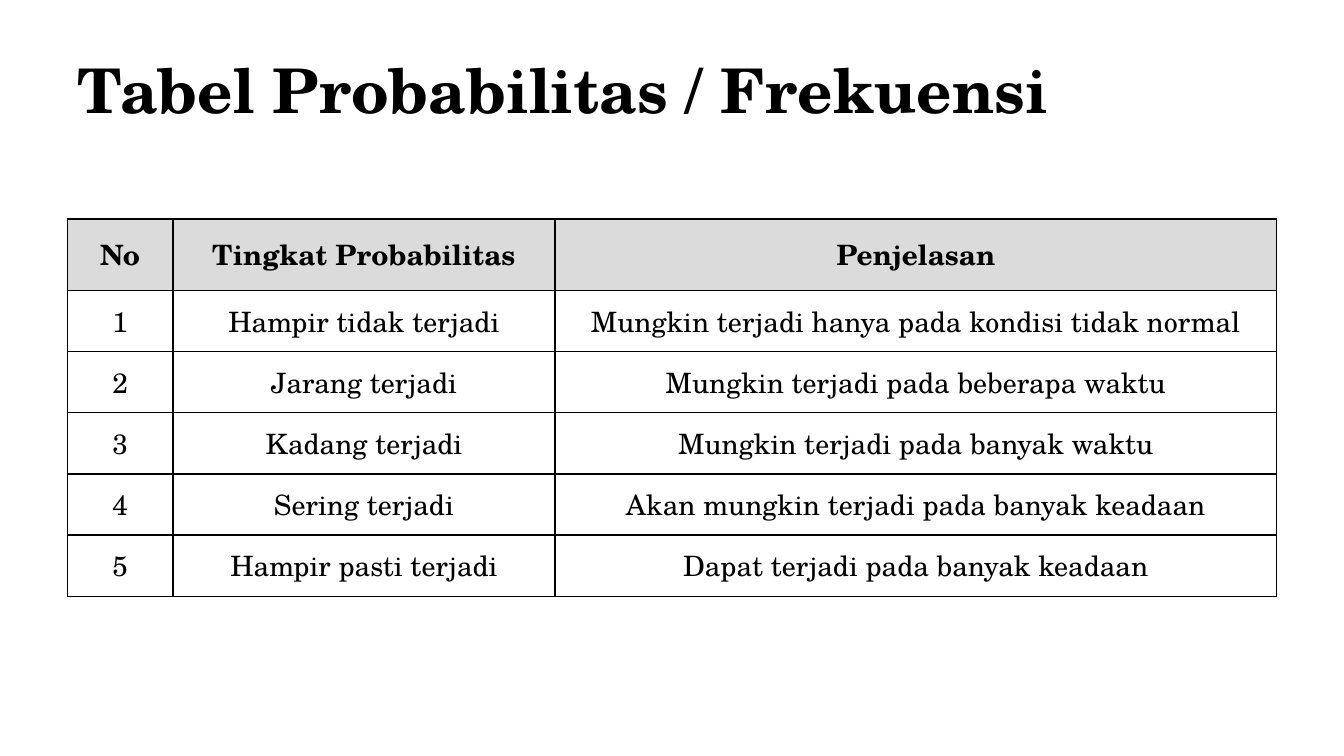
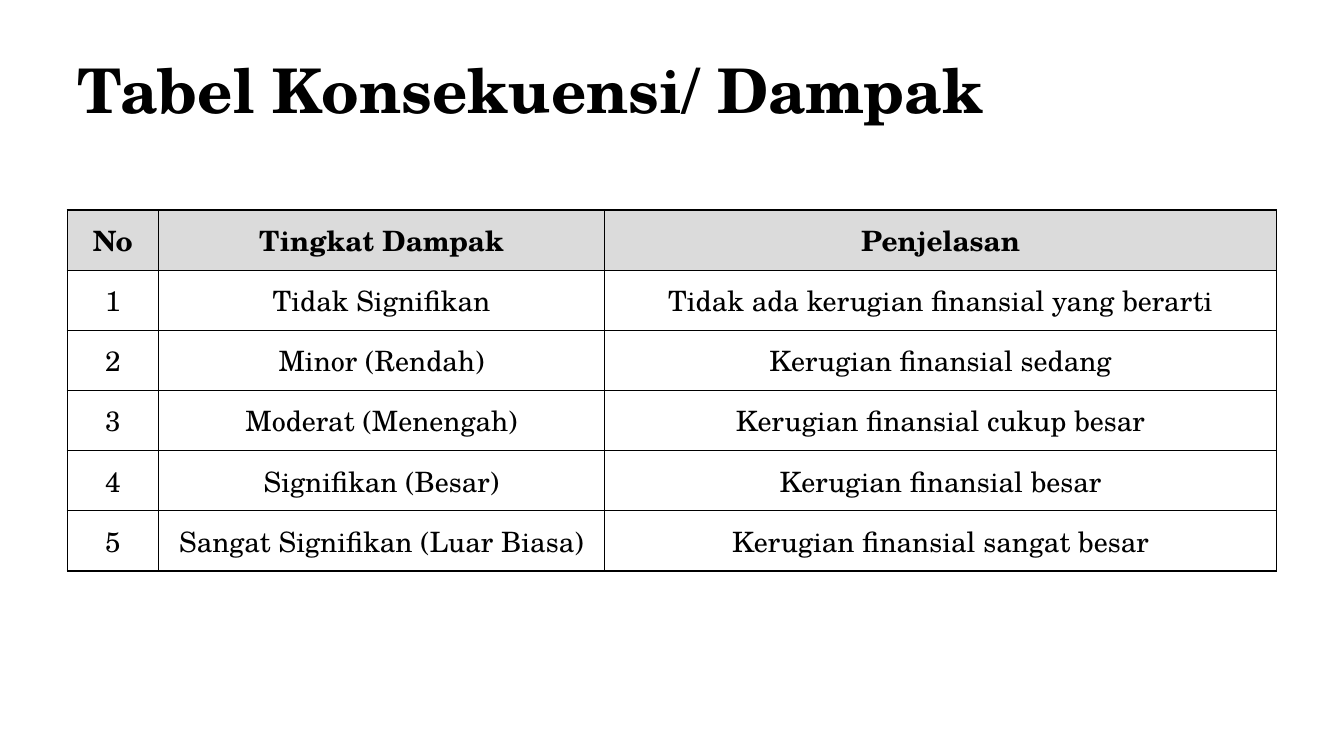
from dataclasses import dataclass

from lxml.etree import SubElement
from pptx import Presentation
from pptx.dml.color import RGBColor
from pptx.enum.text import MSO_ANCHOR, PP_ALIGN
from pptx.oxml.ns import qn
from pptx.slide import Slide
from pptx.table import _Cell
from pptx.text.text import _Paragraph
from pptx.util import Pt

FONT = "TeX Gyre Schola"
INK = "000000"
PAPER = "FFFFFF"
HEAD = "DBDBDB"
LEFT, WIDTH = 48, 864


@dataclass
class Grid:
    title: str
    top: float
    cols: tuple[float, ...]
    first: float
    row: float
    inset: float
    heads: tuple[str, ...]
    items: tuple[tuple[str, str], ...]


GRIDS = (
    Grid(
        "Tabel Probabilitas / Frekuensi", 156.4, (75.6, 272.9, 515.5), 51.1, 43.7, 7.9,
        ("No", "Tingkat Probabilitas", "Penjelasan"),
        (
            ("Hampir tidak terjadi", "Mungkin terjadi hanya pada kondisi tidak normal"),
            ("Jarang terjadi", "Mungkin terjadi pada beberapa waktu"),
            ("Kadang terjadi", "Mungkin terjadi pada banyak waktu"),
            ("Sering terjadi", "Akan mungkin terjadi pada banyak keadaan"),
            ("Hampir pasti terjadi", "Dapat terjadi pada banyak keadaan"),
        ),
    ),
    Grid(
        "Tabel Konsekuensi/ Dampak", 150, (65.3, 318.6, 480.1), 43, 43, 8.6,
        ("No", "Tingkat Dampak", "Penjelasan"),
        (
            ("Tidak Signifikan", "Tidak ada kerugian finansial yang berarti"),
            ("Minor (Rendah)", "Kerugian finansial sedang"),
            ("Moderat (Menengah)", "Kerugian finansial cukup besar"),
            ("Signifikan (Besar)", "Kerugian finansial besar"),
            ("Sangat Signifikan (Luar Biasa)", "Kerugian finansial sangat besar"),
        ),
    ),
)


def color(code: str) -> RGBColor:
    return RGBColor.from_string(code)


def style(para: _Paragraph, size: float, bold: bool) -> None:
    font = para.font
    font.name, font.size, font.bold = FONT, Pt(size), bold
    font.color.rgb = color(INK)


def border(cell: _Cell) -> None:
    props = cell._tc.get_or_add_tcPr()
    for side in ("lnL", "lnR", "lnT", "lnB"):
        line = SubElement(props, qn(f"a:{side}"), w=str(Pt(1)))
        fill = SubElement(line, qn("a:solidFill"))
        SubElement(fill, qn("a:srgbClr"), val=INK)


def fill_cell(cell: _Cell, text: str, inset: float, head: bool) -> None:
    border(cell)
    if head:
        cell.fill.solid()
        cell.fill.fore_color.rgb = color(HEAD)
    else:
        cell.fill.background()
    cell.margin_left = cell.margin_right = Pt(inset)
    cell.margin_top = cell.margin_bottom = Pt(3.6)
    cell.vertical_anchor = MSO_ANCHOR.MIDDLE
    cell.text = text
    para = cell.text_frame.paragraphs[0]
    para.alignment = PP_ALIGN.CENTER
    style(para, 20, head)


def add_title(slide: Slide, text: str) -> None:
    frame = slide.shapes.add_textbox(Pt(LEFT), Pt(21.6), Pt(WIDTH), Pt(90)).text_frame
    frame.word_wrap = True
    frame.vertical_anchor = MSO_ANCHOR.MIDDLE
    frame.text = text
    para = frame.paragraphs[0]
    para.line_spacing = 0.9
    style(para, 44, True)


def add_grid(slide: Slide, grid: Grid) -> None:
    rows = [grid.heads] + [(str(n), *item) for n, item in enumerate(grid.items, 1)]
    tall = grid.first + grid.row * len(grid.items)
    table = slide.shapes.add_table(
        len(rows), len(grid.cols), Pt(LEFT), Pt(grid.top), Pt(WIDTH), Pt(tall)
    ).table
    table.horz_banding = False
    for col, wide in zip(table.columns, grid.cols):
        col.width = Pt(wide)
    for r, texts in enumerate(rows):
        table.rows[r].height = Pt(grid.row if r else grid.first)
        for c, text in enumerate(texts):
            fill_cell(table.cell(r, c), text, grid.inset, r == 0)


def main() -> None:
    deck = Presentation()
    deck.slide_width, deck.slide_height = Pt(960), Pt(540)
    back = deck.slide_master.background.fill
    back.solid()
    back.fore_color.rgb = color(PAPER)
    for grid in GRIDS:
        slide = deck.slides.add_slide(deck.slide_layouts[6])
        add_title(slide, grid.title)
        add_grid(slide, grid)
    deck.save("out.pptx")


if __name__ == "__main__":
    main()
